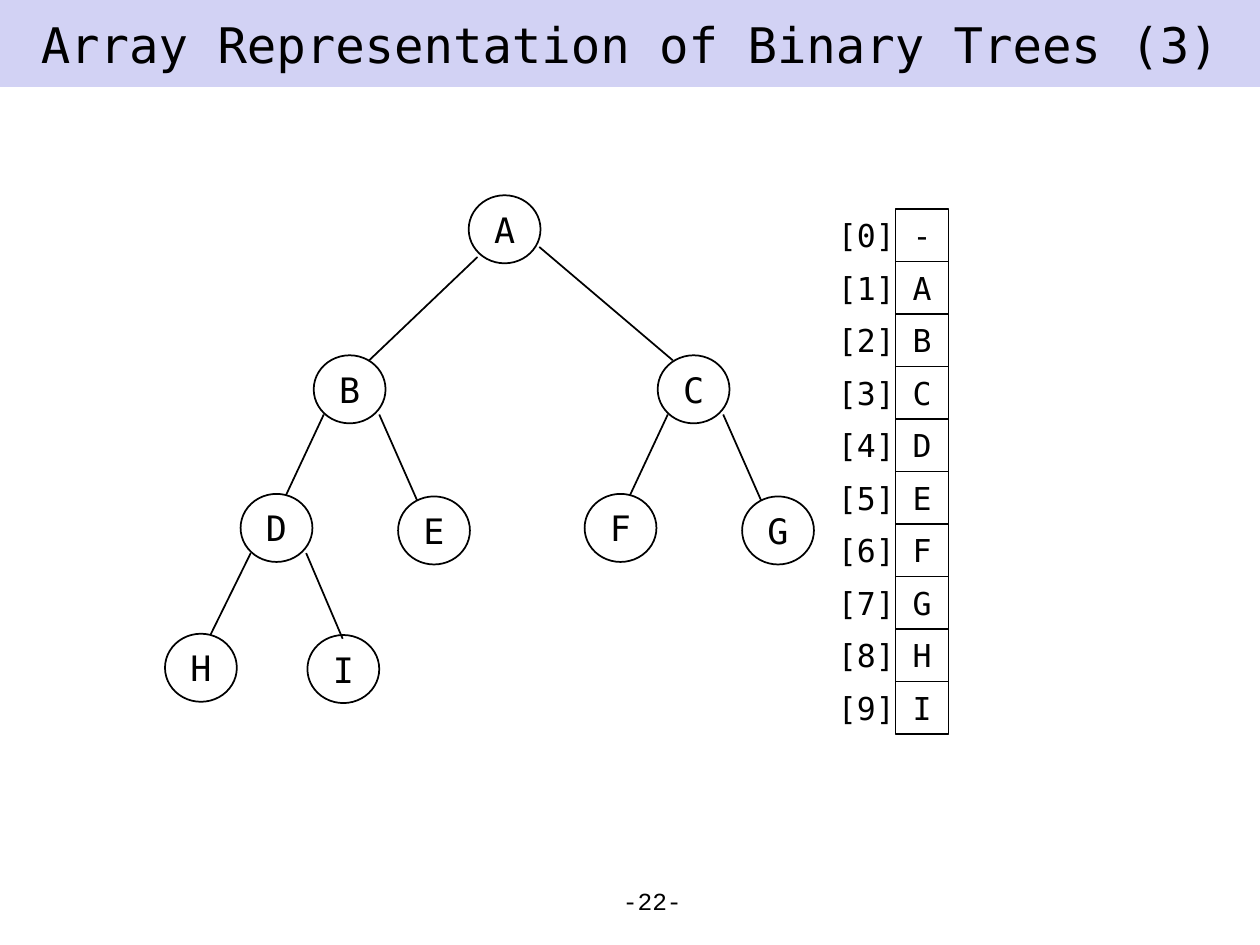
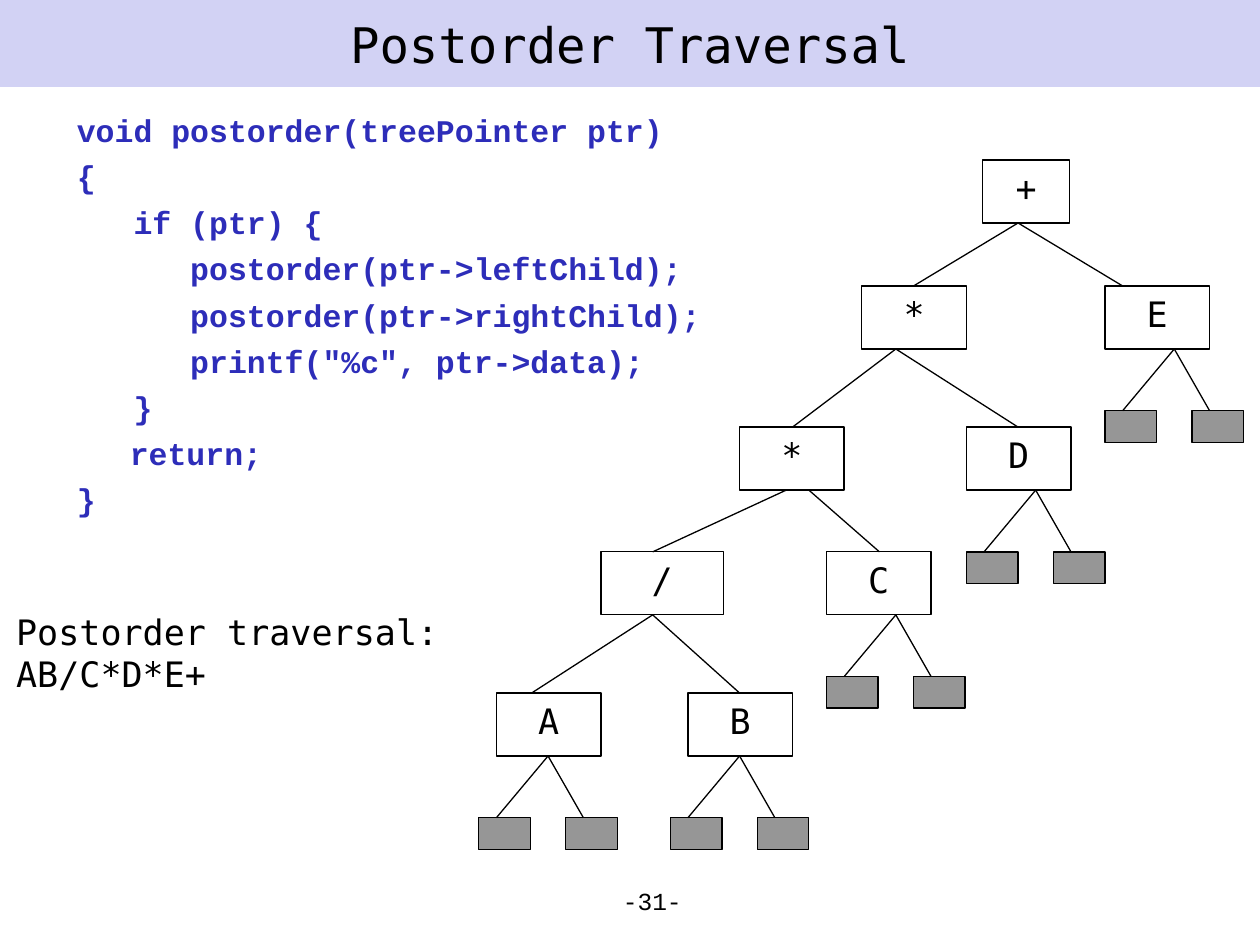
from lxml import etree
from pptx import Presentation
from pptx.dml.color import RGBColor
from pptx.enum.shapes import MSO_CONNECTOR, MSO_SHAPE
from pptx.enum.text import MSO_ANCHOR, MSO_AUTO_SIZE, PP_ALIGN
from pptx.oxml.ns import qn
from pptx.util import Inches, Pt

RECT, OVAL, LINE = MSO_SHAPE.RECTANGLE, MSO_SHAPE.OVAL, MSO_CONNECTOR.STRAIGHT
LEFT, CENTER, RIGHT = PP_ALIGN.LEFT, PP_ALIGN.CENTER, PP_ALIGN.RIGHT
TOP, MIDDLE = MSO_ANCHOR.TOP, MSO_ANCHOR.MIDDLE
NO_FIT = MSO_AUTO_SIZE.NONE

COLORS = {"band": "D2D2F4", "ink": "000000", "code": "2D2DB9",
          "paper": "FFFFFF", "leaf": "969696"}
SANS, MONO = "DejaVu Sans Mono", "Courier New"
TITLE_ONLY, TITLE_AND_BODY = 5, 1


def rgb(name):
    return RGBColor.from_string(COLORS[name])


class Deck:
    def __init__(self):
        self.prs = Presentation()
        self.prs.slide_width, self.prs.slide_height = Inches(10), Inches(7.5)
        self.s = None

    def place(self, sp, box):
        for name, value in zip(("left", "top", "width", "height"), box):
            setattr(sp, name, Inches(value))

    def fill_text(self, sp, lines, size, font=SANS, color="ink", align=CENTER,
                  anchor=MIDDLE, wrap=False, bold=False):
        tf = sp.text_frame
        frame = {"auto_size": NO_FIT, "word_wrap": wrap, "vertical_anchor": anchor}
        for name, value in frame.items():
            setattr(tf, name, value)
        style = {"size": Pt(size), "name": font, "bold": bold}
        for i, line in enumerate(lines):
            p = tf.paragraphs[0] if i == 0 else tf.add_paragraph()
            p.alignment = align
            r = p.add_run()
            r.text = line
            for name, value in style.items():
                setattr(r.font, name, value)
            r.font.color.rgb = rgb(color)
        return tf

    def slide(self, title, number, layout):
        self.s = self.prs.slides.add_slide(self.prs.slide_layouts[layout])
        sp = self.s.shapes.title
        self.place(sp, (0, 0, 10, 0.69))
        sp.fill.solid()
        sp.fill.fore_color.rgb = rgb("band")
        self.fill_text(sp, [title], 28, wrap=True)
        self.text(number, (3.43, 6.98, 2.08, 0.31), 14, font=MONO,
                  align=RIGHT, anchor=TOP, wrap=True)

    def text(self, text, box, size, **style):
        sp = self.s.shapes.add_textbox(*map(Inches, box))
        self.fill_text(sp, [text], size, **style)

    def code(self, lines, box):
        sp = self.s.placeholders[1]
        self.place(sp, box)
        tf = self.fill_text(sp, lines, 18, font=MONO, color="code", align=LEFT,
                            anchor=TOP, wrap=True, bold=True)
        tf.margin_top = Inches(0.09)
        for i, p in enumerate(tf.paragraphs):
            p.space_before = Pt(4.8 if i else 0)
            pPr = p._p.get_or_add_pPr()
            pPr.set("marL", str(Inches(0.42)))
            pPr.set("indent", str(-Inches(0.42)))
            etree.SubElement(pPr, qn("a:buNone"))

    def shape(self, kind, box, fill=None, weight=0.75, text="", size=20, **style):
        sp = self.s.shapes.add_shape(kind, *map(Inches, box))
        sp.shadow.inherit = False
        if fill:
            sp.fill.solid()
            sp.fill.fore_color.rgb = rgb(fill)
        else:
            sp.fill.background()
        sp.line.color.rgb = rgb("ink")
        sp.line.width = Pt(weight)
        if text:
            self.fill_text(sp, [text], size, **style)

    def edge(self, start, end, weight=0.75):
        c = self.s.shapes.add_connector(LINE, *map(Inches, (*start, *end)))
        c.line.color.rgb = rgb("ink")
        c.line.width = Pt(weight)
        etree.SubElement(c._element.spPr, qn("a:effectLst"))


def array_slide(deck):
    deck.slide("Array Representation of Binary Trees (3)", "-22-", TITLE_ONLY)
    nodes = {"A": (3.72, 1.55), "B": (2.49, 2.82), "C": (5.22, 2.82),
             "D": (1.91, 3.92), "E": (3.16, 3.94), "F": (4.64, 3.92),
             "G": (5.89, 3.94), "H": (1.31, 5.03), "I": (2.44, 5.04)}
    to_left = ((0.08, 0.47), (0.36, 0.01))
    to_right = ((0.52, 0.47), (0.15, 0.03))
    edges = {"AB": ((0.07, 0.49), (0.44, 0.04)),
             "AC": ((0.56, 0.41), (0.12, 0.04)),
             "BD": to_left, "BE": to_right, "CF": to_left, "CG": to_right,
             "DH": to_left, "DI": ((0.52, 0.47), (0.28, 0.03))}
    for name, (x, y) in nodes.items():
        deck.shape(OVAL, (x, y, 0.57, 0.54), weight=1, text=name)
    for pair, offsets in edges.items():
        ends = [(nodes[n][0] + dx, nodes[n][1] + dy)
                for n, (dx, dy) in zip(pair, offsets)]
        deck.edge(*ends, weight=1)

    cell = 5 / 12
    for i, value in enumerate("-ABCDEFGHI"):
        y = 1.66 + i * cell
        deck.shape(RECT, (7.11, y, cell, cell), "paper", text=value, size=18)
        deck.text(f"[{i}]", (6.46, y, 2 * cell, cell), 18)


def postorder_slide(deck):
    deck.slide("Postorder Traversal", "-31-", TITLE_AND_BODY)
    deck.code(["void postorder(treePointer ptr)",
               "{",
               "   if (ptr) {",
               "      postorder(ptr->leftChild);",
               "      postorder(ptr->rightChild);",
               '      printf("%c", ptr->data);',
               "   }",
               "\treturn;",
               "}"], (0.51, 0.79, 8.93, 6.04))

    height = 0.5
    nodes = {"plus": ("+", 7.8, 1.27, 0.69), "outer": ("*", 6.84, 2.27, 0.83),
             "inner": ("*", 5.87, 3.39, 0.83), "divide": ("/", 4.77, 4.38, 0.97),
             "A": ("A", 3.94, 5.5, 0.83), "B": ("B", 5.46, 5.5, 0.83),
             "C": ("C", 6.56, 4.38, 0.83), "D": ("D", 7.67, 3.39, 0.83),
             "E": ("E", 8.77, 2.27, 0.83)}
    for text, x, y, width in nodes.values():
        deck.shape(RECT, (x, y, width, height), "paper", text=text,
                   anchor=TOP, wrap=True)

    branches = [("plus", 8.08, "outer", 7.25), ("plus", 8.08, "E", 8.91),
                ("outer", 7.11, "inner", 6.29), ("outer", 7.11, "D", 8.08),
                ("inner", 6.24, "divide", 5.18), ("inner", 6.42, "C", 6.98),
                ("divide", 5.18, "A", 4.22), ("divide", 5.18, "B", 5.87)]
    for parent, x1, child, x2 in branches:
        deck.edge((x1, nodes[parent][2] + height), (x2, nodes[child][2]))

    leaf_pairs = {"A": 3.8, "B": 5.32, "C": 6.56, "D": 7.67, "E": 8.77}
    for name, left in leaf_pairs.items():
        y = nodes[name][2]
        for x in (left, left + 0.69):
            deck.shape(RECT, (x, y + 0.99, 0.41, 0.25), "leaf")
            deck.edge((x + 0.14, y + 0.99), (left + 0.55, y + height))

    deck.text("Postorder traversal: AB/C*D*E+", (0.03, 4.8, 4.83, 0.44), 20,
              align=LEFT, anchor=TOP, wrap=True)


def main():
    deck = Deck()
    array_slide(deck)
    postorder_slide(deck)
    deck.prs.save("out.pptx")


if __name__ == "__main__":
    main()
